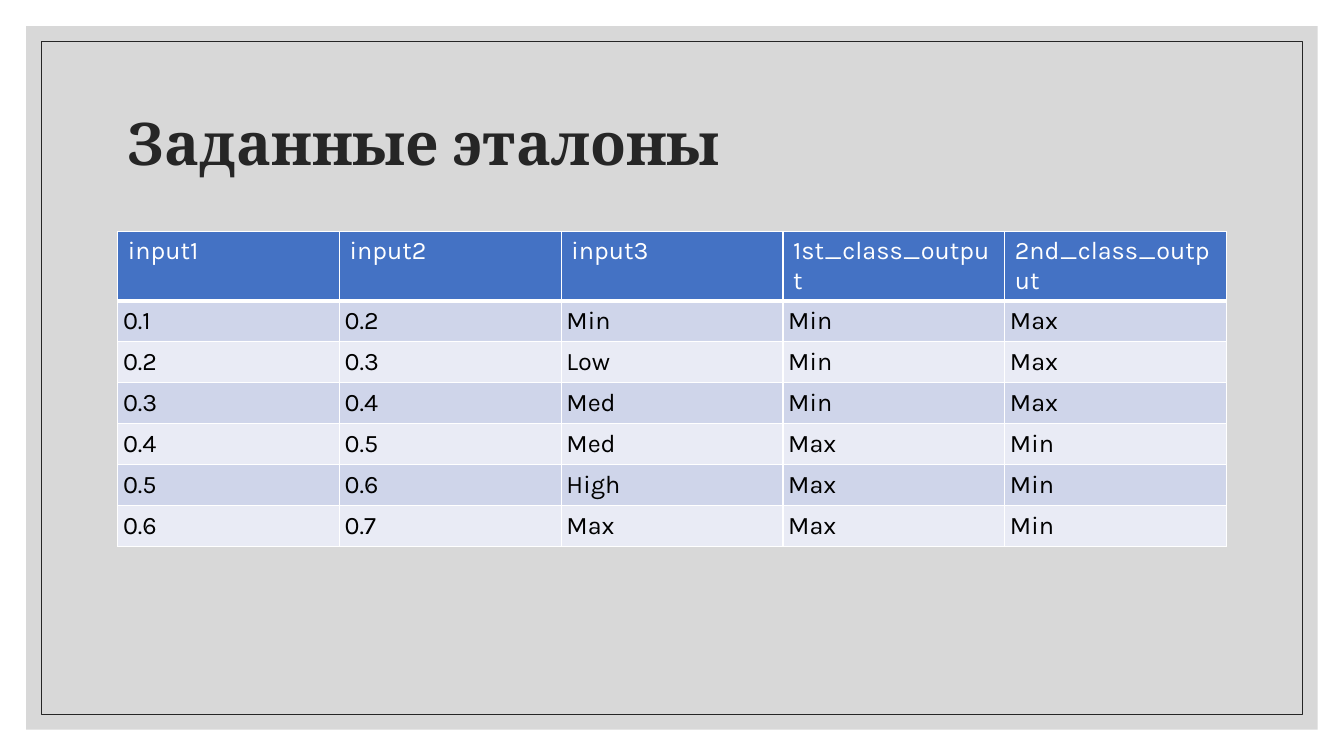
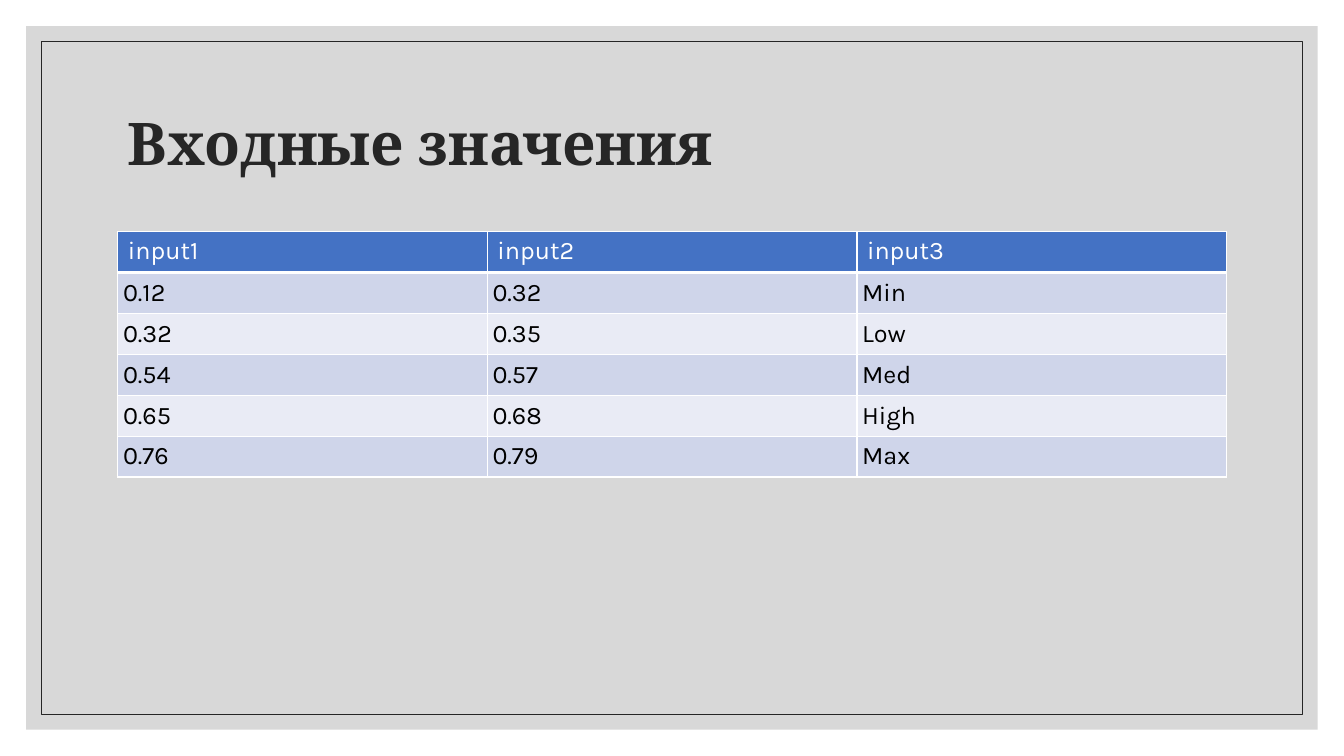
from lxml.etree import SubElement
from pptx import Presentation
from pptx.dml.color import RGBColor
from pptx.enum.shapes import MSO_SHAPE
from pptx.enum.text import MSO_ANCHOR, MSO_AUTO_SIZE, PP_ALIGN
from pptx.oxml.ns import qn
from pptx.util import Cm, Pt

WHITE = RGBColor(0xFF, 0xFF, 0xFF)
BLACK = RGBColor(0x00, 0x00, 0x00)
INK = RGBColor(0x26, 0x26, 0x26)
GREY = RGBColor(0xBF, 0xBF, 0xBF)
BLUE = RGBColor(0x44, 0x72, 0xC4)
BANDS = [RGBColor(0xCF, 0xD5, 0xEA), RGBColor(0xE9, 0xEB, 0xF5)]

WIDTH, HEIGHT = Cm(33.87), Cm(19.05)
LEFT, SPAN = Cm(2.97), Cm(27.94)
ROW = Cm(1.03)
PAD = Cm(0.13)

SLIDES = [
    ("Заданные эталоны", [
        ["input1", "input2", "input3", "1st_class_output", "2nd_class_output"],
        ["0.1", "0.2", "Min", "Min", "Max"],
        ["0.2", "0.3", "Low", "Min", "Max"],
        ["0.3", "0.4", "Med", "Min", "Max"],
        ["0.4", "0.5", "Med", "Max", "Min"],
        ["0.5", "0.6", "High", "Max", "Min"],
        ["0.6", "0.7", "Max", "Max", "Min"],
    ]),
    ("Входные значения", [
        ["input1", "input2", "input3"],
        ["0.12", "0.32", "Min"],
        ["0.32", "0.35", "Low"],
        ["0.54", "0.57", "Med"],
        ["0.65", "0.68", "High"],
        ["0.76", "0.79", "Max"],
    ]),
]


def add_frame(slide, gap):
    """Move a rectangle, inset by gap from the slide edges, to the layout."""
    box = slide.shapes.add_shape(MSO_SHAPE.RECTANGLE, gap, gap,
                                 WIDTH - 2 * gap, HEIGHT - 2 * gap)
    box.shadow.inherit = False
    slide.slide_layout.shapes.element.append(box.element)
    return box


def set_edges(cell, top, base):
    """Draw white cell borders; top and base are widths in points."""
    props = cell._tc.get_or_add_tcPr()
    for side, size in [("L", 1), ("R", 1), ("T", top), ("B", base)]:
        line = SubElement(props, qn("a:ln" + side), w=str(Pt(size)))
        fill = SubElement(line, qn("a:solidFill"))
        SubElement(fill, qn("a:srgbClr"), val=str(WHITE))


deck = Presentation()
deck.slide_width, deck.slide_height = WIDTH, HEIGHT
layout = deck.slide_layouts[5]
pages = [deck.slides.add_slide(layout) for _ in SLIDES]

# Frames shared by all slides
panel = add_frame(pages[0], Cm(0.66))
panel.fill.solid()
panel.fill.fore_color.rgb = GREY
color = panel.fill._xPr.find(".//" + qn("a:srgbClr"))
SubElement(color, qn("a:alpha"), val="60000")
panel.line.fill.background()

border = add_frame(pages[0], Cm(1.04))
border.fill.background()
border.line.color.rgb = INK
border.line.width = Pt(0.5)

for slide, (head, rows) in zip(pages, SLIDES):
    title = slide.shapes.title
    title.left, title.top, title.width, title.height = LEFT, Cm(1.78), SPAN, Cm(3.81)
    title.text = head
    frame = title.text_frame
    frame.auto_size = MSO_AUTO_SIZE.NONE
    frame.vertical_anchor = MSO_ANCHOR.MIDDLE
    para = frame.paragraphs[0]
    para.alignment = PP_ALIGN.LEFT
    para.line_spacing = 0.9
    para.font.name = "Cambria"
    para.font.size = Pt(42)
    para.font.bold = True
    para.font.color.rgb = INK

    table = slide.shapes.add_table(len(rows), len(rows[0]), LEFT, Cm(5.84),
                                   SPAN, ROW * len(rows)).table
    for r, row in enumerate(rows):
        for c, text in enumerate(row):
            cell = table.cell(r, c)
            cell.text = text
            set_edges(cell, 3 if r == 1 else 1, 3 if r == 0 else 1)
            cell.fill.solid()
            cell.fill.fore_color.rgb = BANDS[(r - 1) % 2] if r else BLUE
            if r:
                cell.vertical_anchor = MSO_ANCHOR.MIDDLE
                cell.margin_left = cell.margin_right = PAD
                cell.margin_top = cell.margin_bottom = PAD
            font = cell.text_frame.paragraphs[0].font
            font.name = "Karla"
            font.size = Pt(18)
            font.bold = False
            font.color.rgb = BLACK if r else WHITE

deck.save("out.pptx")
